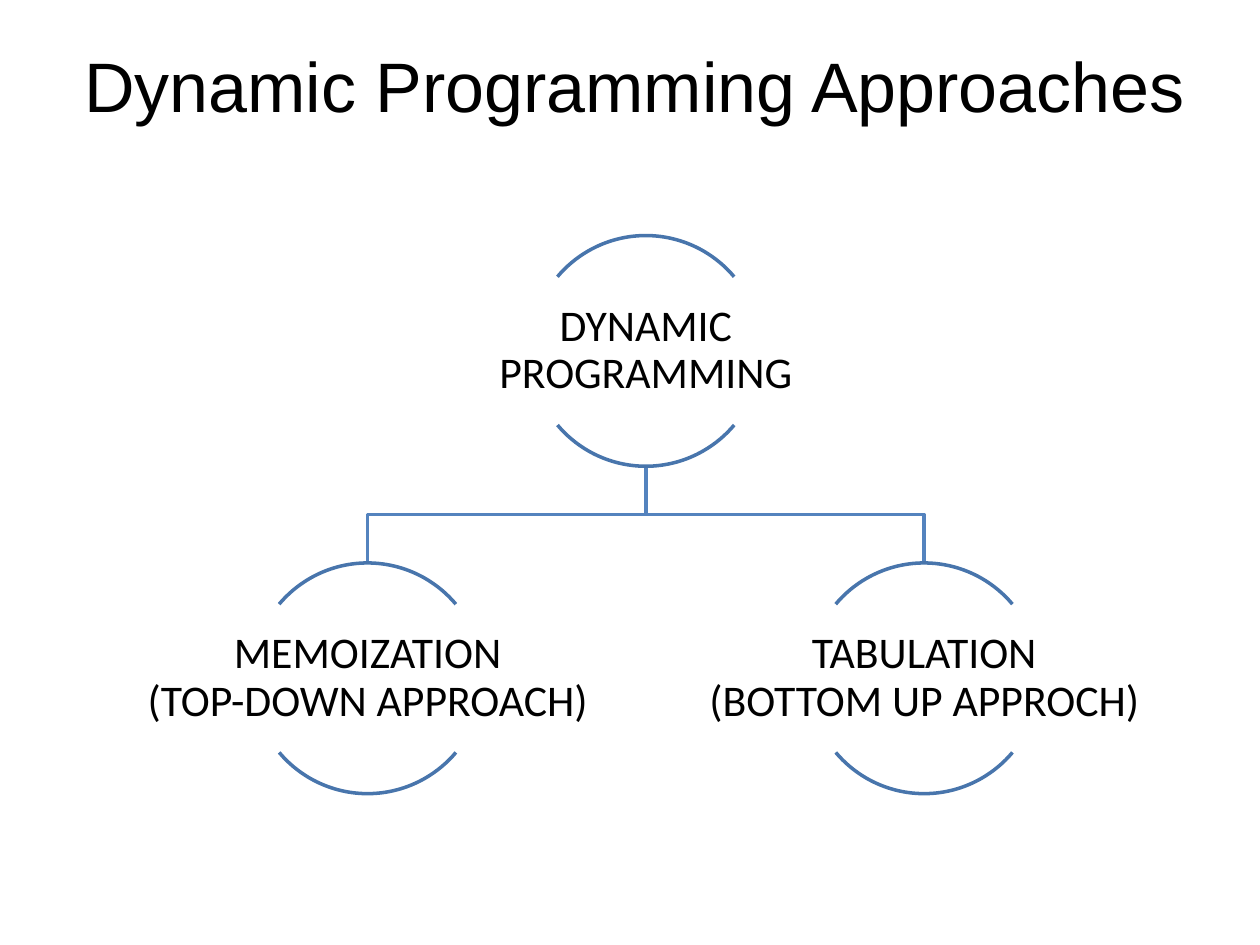
from dataclasses import dataclass

from pptx import Presentation
from pptx.dml.color import RGBColor
from pptx.enum.shapes import MSO_SHAPE
from pptx.enum.text import MSO_ANCHOR, MSO_AUTO_SIZE, PP_ALIGN
from pptx.util import Cm, Pt


@dataclass(frozen=True)
class Theme:
    text: RGBColor = RGBColor(0x00, 0x00, 0x00)
    arc: RGBColor = RGBColor(0x48, 0x75, 0xAC)
    branch: RGBColor = RGBColor(0x54, 0x83, 0xBE)
    title_font: str = "Arial"
    label_font: str = "Calibri"
    title_size: int = 40
    label_size: int = 25
    line_width: int = 2


THEME = Theme()
DIAMETER = 4.65
LABEL_WIDTH, LABEL_HEIGHT = 9.3, 2.98
ROOT_X, ROOT_TOP = 13.02, 4.75
CHILD_OFFSET, CHILD_TOP = 5.61, 11.35
ARC_ANGLES = [(132, 192), (24, 84)]
CHILDREN = [
    (ROOT_X - CHILD_OFFSET, "MEMOIZATION\v(TOP-DOWN APPROACH)"),
    (ROOT_X + CHILD_OFFSET, "TABULATION\v(BOTTOM UP APPROCH)"),
]


def write_text(box, text, *, font, size, align, anchor, inset=0, spacing=1.0):
    frame = box.text_frame
    frame.word_wrap = True
    frame.vertical_anchor = anchor
    frame.margin_left = frame.margin_right = Cm(inset)
    frame.margin_top = frame.margin_bottom = Cm(inset)
    para = frame.paragraphs[0]
    para.text = text
    para.alignment = align
    para.line_spacing = spacing
    for span in para.runs:
        span.font.name = font
        span.font.size = Pt(size)
        span.font.color.rgb = THEME.text


def style_outline(shape, color):
    shape.shadow.inherit = False
    shape.fill.background()
    shape.line.color.rgb = color
    shape.line.width = Pt(THEME.line_width)


def add_title(page, text):
    title = page.shapes.title
    title.left, title.top = Cm(1.7), Cm(0.85)
    title.width, title.height = Cm(23.04), Cm(3.43)
    write_text(title, text, font=THEME.title_font, size=THEME.title_size,
               align=PP_ALIGN.LEFT, anchor=MSO_ANCHOR.TOP)
    title.text_frame.auto_size = MSO_AUTO_SIZE.SHAPE_TO_FIT_TEXT


def add_branch(page, child_x):
    start_y = ROOT_TOP + DIAMETER
    middle_y = (start_y + CHILD_TOP) / 2
    builder = page.shapes.build_freeform(Cm(ROOT_X), Cm(start_y))
    builder.add_line_segments(
        [(Cm(ROOT_X), Cm(middle_y)), (Cm(child_x), Cm(middle_y)),
         (Cm(child_x), Cm(CHILD_TOP))],
        close=False,
    )
    style_outline(builder.convert_to_shape(), THEME.branch)


def add_node(page, center_x, top, text):
    for start, end in ARC_ANGLES:
        arc = page.shapes.add_shape(
            MSO_SHAPE.ARC, Cm(center_x - DIAMETER / 2), Cm(top),
            Cm(DIAMETER), Cm(DIAMETER))
        arc.adjustments[0] = start
        arc.adjustments[1] = end
        style_outline(arc, THEME.arc)
    label = page.shapes.add_textbox(
        Cm(center_x - LABEL_WIDTH / 2), Cm(top + (DIAMETER - LABEL_HEIGHT) / 2),
        Cm(LABEL_WIDTH), Cm(LABEL_HEIGHT))
    write_text(label, text, font=THEME.label_font, size=THEME.label_size,
               align=PP_ALIGN.CENTER, anchor=MSO_ANCHOR.MIDDLE,
               inset=0.05, spacing=0.9)


def main():
    deck = Presentation()
    deck.slide_width, deck.slide_height = Cm(25.4), Cm(19.05)
    page = deck.slides.add_slide(deck.slide_layouts[5])
    add_title(page, "Dynamic Programming Approaches")
    for child_x, _ in CHILDREN:
        add_branch(page, child_x)
    add_node(page, ROOT_X, ROOT_TOP, "DYNAMIC PROGRAMMING")
    for child_x, text in CHILDREN:
        add_node(page, child_x, CHILD_TOP, text)
    deck.save("out.pptx")


if __name__ == "__main__":
    main()
